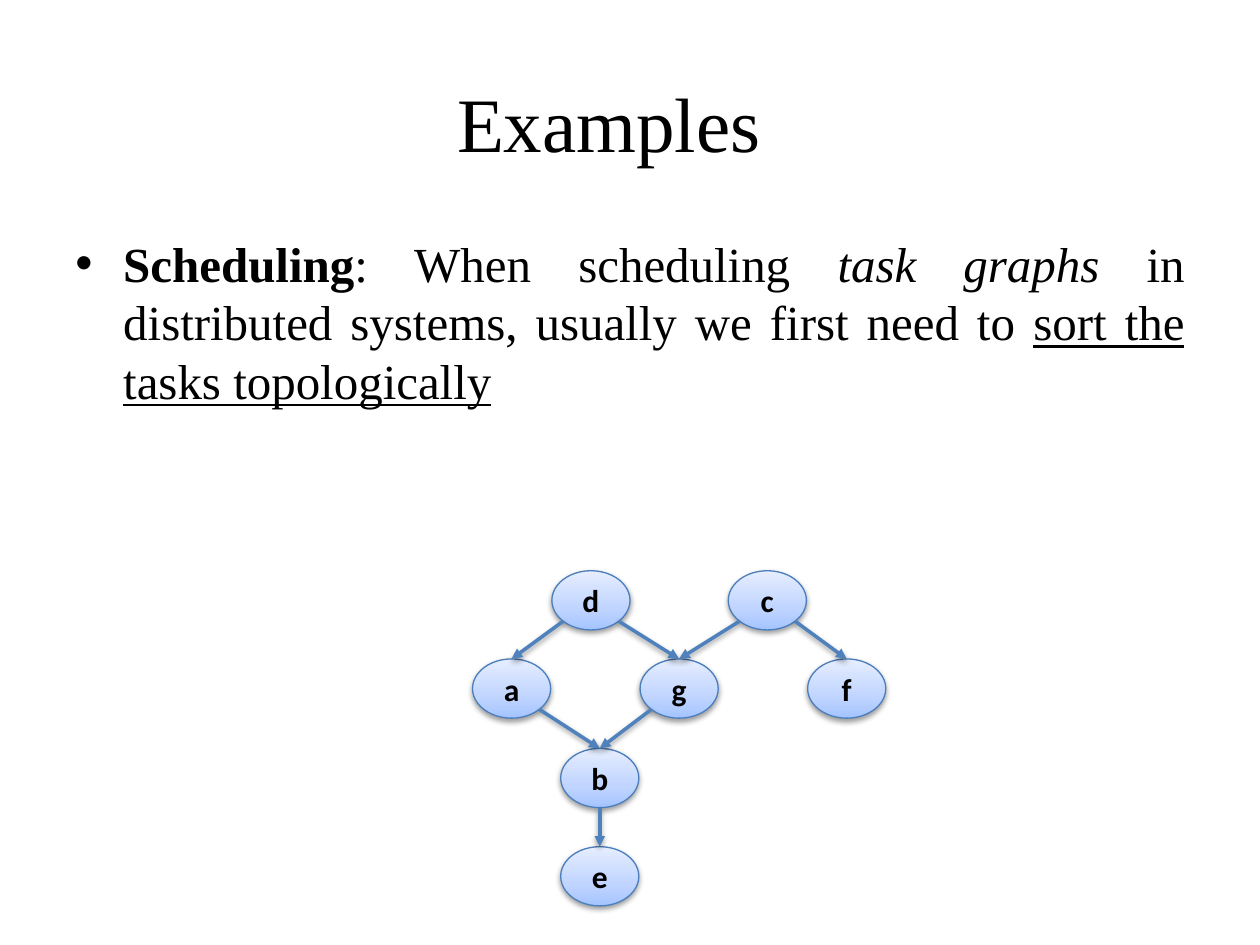
from copy import deepcopy

from lxml import etree
from pptx import Presentation
from pptx import util as u
from pptx.dml.color import RGBColor
from pptx.enum import shapes, text
from pptx.oxml import parse_xml
from pptx.oxml.ns import nsdecls, qn

COLORS = {"ink": "000000", "outline": "4B7EBC", "arrow": "4F81BD",
          "deep": "A4C4FF", "middle": "BFD4FF", "pale": "E6EEFF"}
SERIF = "Times New Roman"
NODE_W, NODE_H = 0.62, 0.47


def add_run(paragraph, words, **font_values):
    run = paragraph.add_run()
    run.text = words
    run.font.color.rgb = RGBColor.from_string(COLORS["ink"])
    for name, value in font_values.items():
        setattr(run.font, name, value)


def add_soft_shadow(item):
    """Give a node or an arrow the soft shadow that falls straight down."""
    properties = item._element.spPr
    properties.append(parse_xml(
        f'<a:effectLst {nsdecls("a")}><a:outerShdw blurRad="40000" dist="20000" '
        f'dir="5400000" rotWithShape="0"><a:srgbClr val="{COLORS["ink"]}">'
        '<a:alpha val="38000"/></a:srgbClr></a:outerShdw></a:effectLst>'))


deck = Presentation()
deck.slide_width, deck.slide_height = u.Inches(10), u.Inches(7.5)
slide = deck.slides.add_slide(deck.slide_layouts[6])

# Title
title = slide.shapes.add_textbox(u.Inches(0.41), u.Inches(0.55), u.Inches(9), u.Inches(0.84))
title.text_frame.word_wrap = True
title.text_frame.vertical_anchor = text.MSO_ANCHOR.MIDDLE
heading = title.text_frame.paragraphs[0]
heading.alignment = text.PP_ALIGN.CENTER
add_run(heading, "Examples ", name=SERIF, size=u.Pt(44))

# Bullet
body = slide.shapes.add_textbox(u.Inches(0.5), u.Inches(1.8), u.Inches(9), u.Inches(4.02))
body.text_frame.word_wrap = True
bullet = body.text_frame.paragraphs[0]
bullet.alignment = text.PP_ALIGN.JUSTIFY
bullet_format = bullet._p.get_or_add_pPr()
bullet_format.set("marL", str(u.Inches(0.38)))
bullet_format.set("indent", str(u.Inches(-0.38)))
etree.SubElement(bullet_format, qn("a:buFont"), typeface="Arial")
etree.SubElement(bullet_format, qn("a:buChar"), char="•")
for words, emphasis in [
    ("Scheduling", {"bold": True}),
    (": When scheduling ", {}),
    ("task graphs", {"italic": True}),
    (" in distributed systems, usually we first need to ", {}),
    ("sort the tasks topologically", {"underline": True}),
]:
    add_run(bullet, words, name=SERIF, size=u.Pt(28), **emphasis)

# Task graph: nodes
places = {"a": (3.75, 5.23), "d": (4.38, 4.53), "c": (5.78, 4.53), "g": (5.08, 5.23),
          "f": (6.41, 5.23), "b": (4.45, 5.94), "e": (4.45, 6.72)}
nodes = {}
for task, (left, top) in places.items():
    node = slide.shapes.add_shape(shapes.MSO_SHAPE.OVAL, u.Inches(left), u.Inches(top),
                                  u.Inches(NODE_W), u.Inches(NODE_H))
    node.fill.gradient()
    node.fill.gradient_angle = 90
    stop_list = node._element.spPr.find(".//" + qn("a:gsLst"))
    stop_list.append(deepcopy(stop_list[0]))
    shades = [(0, "deep"), (0.35, "middle"), (1, "pale")]
    for stop, (position, shade) in zip(node.fill.gradient_stops, shades):
        stop.position = position
        stop.color.rgb = RGBColor.from_string(COLORS[shade])
    node.line.color.rgb = RGBColor.from_string(COLORS["outline"])
    node.line.width = u.Pt(0.75)
    add_soft_shadow(node)
    node.text_frame.vertical_anchor = text.MSO_ANCHOR.MIDDLE
    label = node.text_frame.paragraphs[0]
    label.alignment = text.PP_ALIGN.CENTER
    add_run(label, task, name="Calibri", size=u.Pt(18), bold=True)
    nodes[task] = node

# Task graph: arrows leave the lower left (-1), bottom (0) or lower right (1) of a node
for source, target, side in [("d", "a", -1), ("d", "g", 1), ("c", "g", -1), ("c", "f", 1),
                             ("a", "b", 1), ("g", "b", -1), ("b", "e", 0)]:
    left, top = places[source]
    start_x = left + NODE_W / 2 + side * 0.22
    start_y = top + NODE_H - abs(side) * 0.07
    arrow = slide.shapes.add_connector(shapes.MSO_CONNECTOR.STRAIGHT, u.Inches(start_x),
                                       u.Inches(start_y), u.Inches(start_x), u.Inches(start_y))
    arrow.end_connect(nodes[target], 0)
    arrow.line.color.rgb = RGBColor.from_string(COLORS["arrow"])
    arrow.line.width = u.Pt(2)
    etree.SubElement(arrow.line._get_or_add_ln(), qn("a:tailEnd"), type="triangle")
    add_soft_shadow(arrow)

deck.save("out.pptx")
